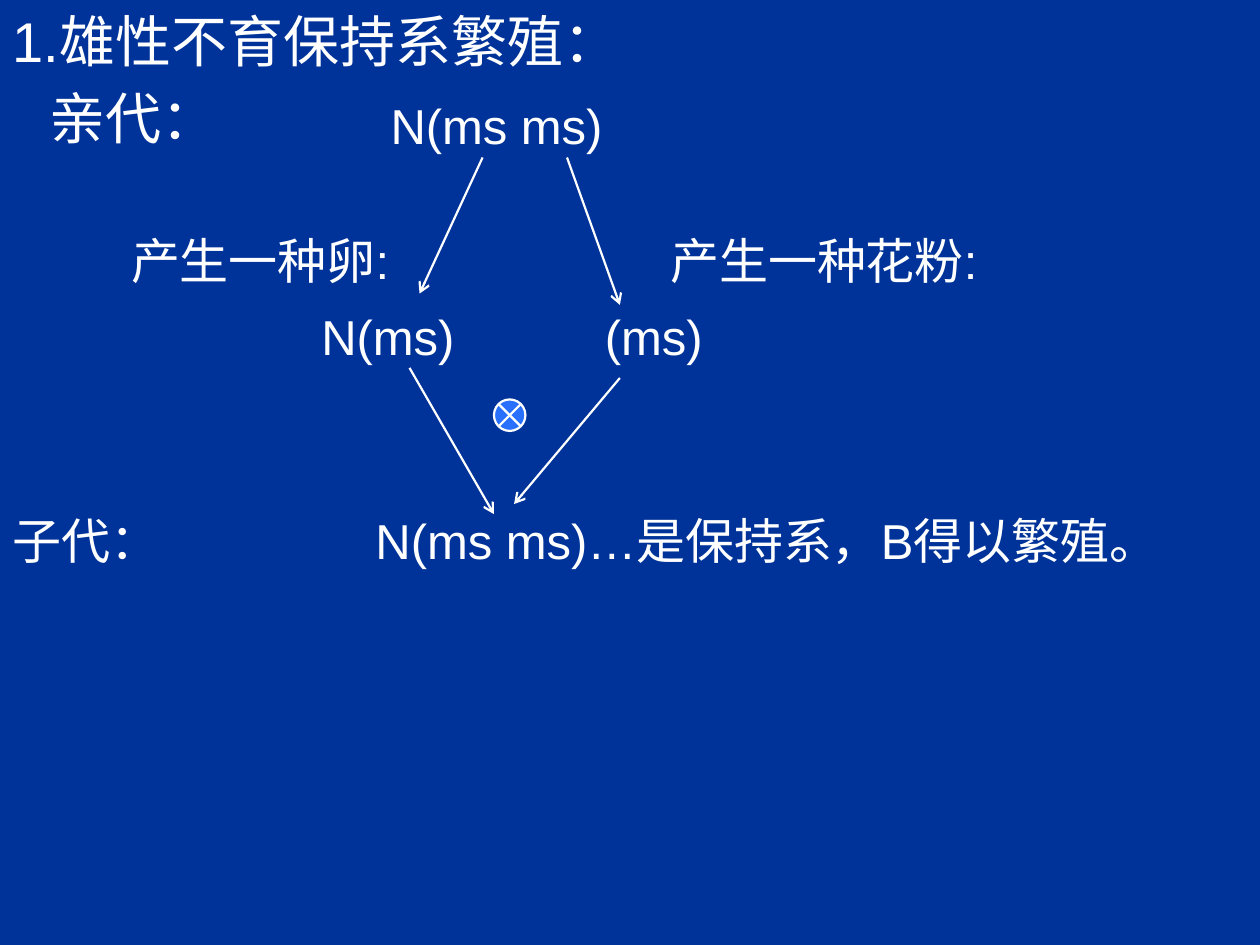
from lxml.etree import SubElement
from pptx import Presentation
from pptx.dml.color import RGBColor
from pptx.enum.shapes import MSO_CONNECTOR, MSO_SHAPE
from pptx.enum.text import MSO_ANCHOR, MSO_AUTO_SIZE, PP_ALIGN
from pptx.oxml.ns import qn
from pptx.util import Inches, Pt

COLORS = {"background": "003399", "ink": "FFFFFF", "junction": "2970FF"}
FONT = "Arial"

TITLE = "1.雄性不育保持系繁殖："
# Diagram labels: left, top, width, text, size
LABELS = [
    (0.39, 0.66, 1.4, "亲代：", 32),
    (3.1, 0.76, 2, "N(ms ms)", 28),
    (1.04, 1.83, 2.4, "产生一种卵:", 28),
    (5.32, 1.83, 2.8, "产生一种花粉:", 28),
    (2.55, 2.43, 1.3, "N(ms)", 28),
    (4.8, 2.43, 1.1, "(ms)", 28),
    (0.1, 4.05, 1.3, "子代：", 28),
    (2.98, 4.05, 6.9, "N(ms ms)…是保持系，B得以繁殖。", 28),
]
LABEL_HEIGHT = 0.5
ARROWS = [
    ((3.83, 1.25), (3.33, 2.33)),  # parent to egg
    ((4.5, 1.25), (4.92, 2.42)),  # parent to pollen
    ((3.25, 2.92), (3.92, 4.08)),  # egg to offspring
    ((4.92, 3), (4.08, 4)),  # pollen to offspring
]


def color(name):
    return RGBColor.from_string(COLORS[name])


def style_line(line):
    line.color.rgb = color("ink")
    line.width = Pt(1.25)


def write_text(shape, text, size):
    frame = shape.text_frame
    frame.word_wrap = True
    frame.auto_size = MSO_AUTO_SIZE.NONE
    frame.vertical_anchor = MSO_ANCHOR.TOP
    frame.margin_left = frame.margin_right = 0
    frame.margin_top = frame.margin_bottom = 0
    paragraph = frame.paragraphs[0]
    paragraph.alignment = PP_ALIGN.LEFT
    run = paragraph.add_run()
    run.text = text
    run.font.name = FONT
    run.font.size = Pt(size)
    run.font.color.rgb = color("ink")


presentation = Presentation()
presentation.slide_width, presentation.slide_height = Inches(10), Inches(7.5)
slide = presentation.slides.add_slide(presentation.slide_layouts[5])
slide.background.fill.solid()
slide.background.fill.fore_color.rgb = color("background")

# Title
title = slide.shapes.title
title.left, title.top = Inches(0.1), Inches(0.05)
title.width, title.height = Inches(9.8), Inches(0.57)
write_text(title, TITLE, 32)

# Generation and gamete labels
for left, top, width, text, size in LABELS:
    label = slide.shapes.add_textbox(
        *map(Inches, (left, top, width, LABEL_HEIGHT)))
    write_text(label, text, size)

# Inheritance arrows
for start, end in ARROWS:
    arrow = slide.shapes.add_connector(
        MSO_CONNECTOR.STRAIGHT, *map(Inches, start + end))
    style_line(arrow.line)
    SubElement(arrow.line._get_or_add_ln(), qn("a:tailEnd"), type="arrow")
    SubElement(arrow._element.spPr, qn("a:effectLst"))

# Selfing symbol
junction = slide.shapes.add_shape(
    MSO_SHAPE.FLOWCHART_SUMMING_JUNCTION,
    Inches(3.92), Inches(3.17), Inches(0.25), Inches(0.25))
junction.shadow.inherit = False
junction.fill.solid()
junction.fill.fore_color.rgb = color("junction")
style_line(junction.line)

presentation.save("out.pptx")
